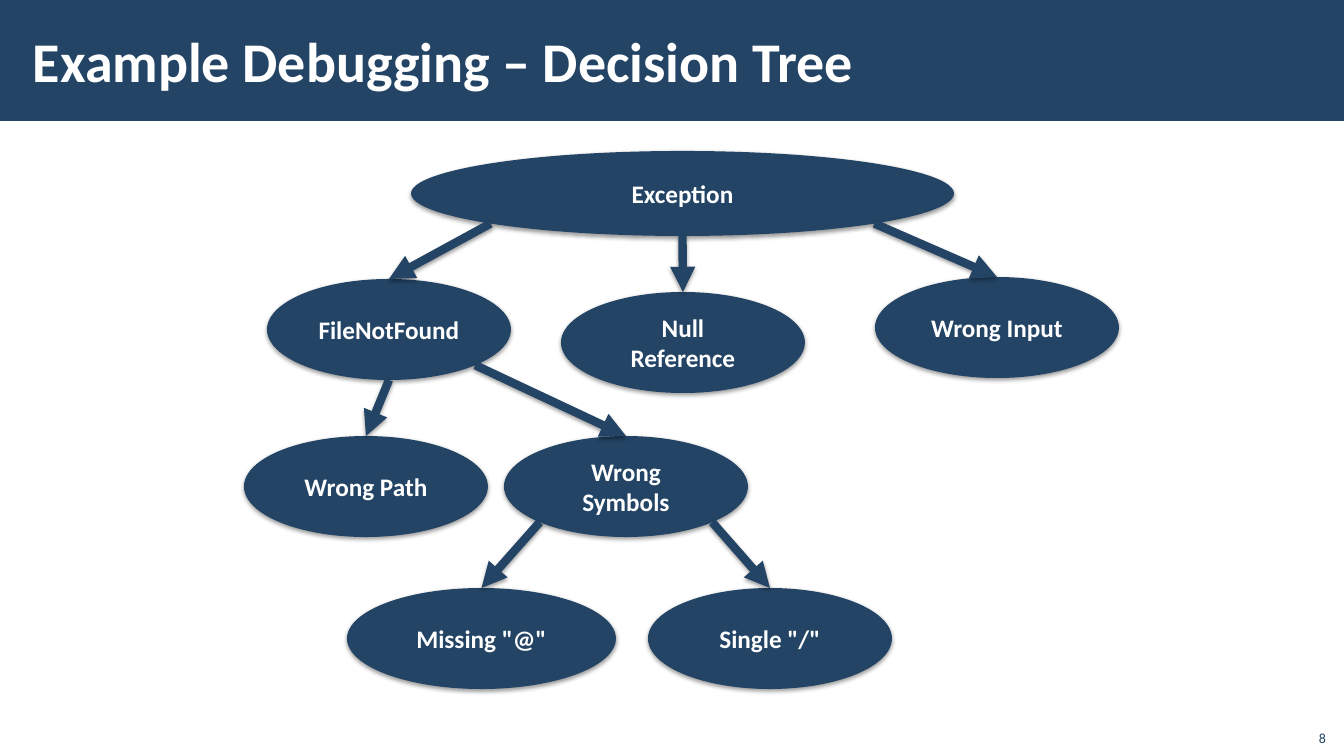
from dataclasses import dataclass
from math import sqrt

from lxml.etree import SubElement
from pptx import Presentation
from pptx.dml.color import RGBColor
from pptx.enum.shapes import MSO_CONNECTOR, MSO_SHAPE
from pptx.enum.text import MSO_ANCHOR, MSO_AUTO_SIZE, PP_ALIGN
from pptx.oxml.ns import qn
from pptx.util import Emu, Pt

EMU_PER_PX = 914400 / 100.8


@dataclass(frozen=True)
class Theme:
    navy: RGBColor = RGBColor(0x23, 0x44, 0x65)
    white: RGBColor = RGBColor(0xFF, 0xFF, 0xFF)
    font: str = "Calibri"
    title_size: int = 40
    node_size: int = 18
    number_size: int = 10
    branch_width: int = 6


THEME = Theme()

NODES = {
    "Exception": (411, 151, 543, 85),
    "FileNotFound": (267, 279, 244, 101),
    "Null Reference": (561, 292, 244, 101),
    "Wrong Input": (875, 277, 244, 101),
    "Wrong Path": (244, 436, 244, 101),
    "Wrong Symbols": (504, 436, 244, 101),
    'Missing "@"': (347, 588, 269, 101),
    'Single "/"': (648, 588, 244, 101),
}

LEFT, MIDDLE, RIGHT = -1, 0, 1
BRANCHES = [
    ("Exception", LEFT, "FileNotFound"),
    ("Exception", MIDDLE, "Null Reference"),
    ("Exception", RIGHT, "Wrong Input"),
    ("FileNotFound", MIDDLE, "Wrong Path"),
    ("FileNotFound", RIGHT, "Wrong Symbols"),
    ("Wrong Symbols", LEFT, 'Missing "@"'),
    ("Wrong Symbols", RIGHT, 'Single "/"'),
]


def px(length):
    return Emu(round(length * EMU_PER_PX))


def set_all(target, values):
    for name, value in values.items():
        setattr(target, name, value)


def write(shape, text, size, color, align, anchor, bold=True, inset=12):
    frame = shape.text_frame
    set_all(frame, {
        "text": text,
        "word_wrap": True,
        "auto_size": MSO_AUTO_SIZE.NONE,
        "vertical_anchor": anchor,
        "margin_left": px(inset),
        "margin_right": px(inset),
        "margin_top": px(4),
        "margin_bottom": px(4),
    })
    paragraph = frame.paragraphs[0]
    paragraph.alignment = align
    font = paragraph.runs[0].font
    set_all(font, {"name": THEME.font, "size": Pt(size), "bold": bold})
    font.color.rgb = color


def add_filled(slide, kind, box):
    shape = slide.shapes.add_shape(kind, *map(px, box))
    shape.shadow.inherit = False
    shape.fill.solid()
    shape.fill.fore_color.rgb = THEME.navy
    shape.line.fill.background()
    return shape


def add_soft_shadow(properties):
    effects = properties.find(qn("a:effectLst"))
    if effects is None:
        effects = SubElement(properties, qn("a:effectLst"))
    shadow = SubElement(effects, qn("a:outerShdw"), blurRad=str(Pt(3.1)),
                        dist=str(Pt(1.6)), dir="5400000", rotWithShape="0")
    black = SubElement(shadow, qn("a:srgbClr"), val="000000")
    SubElement(black, qn("a:alpha"), val="38000")


def add_title(slide, text):
    band = add_filled(slide, MSO_SHAPE.RECTANGLE, (0, 0, 1344, 121))
    slide.shapes._spTree.insert(2, band._element)
    title = slide.shapes.title
    set_all(title, {"left": px(21), "top": px(11), "width": px(1072), "height": px(98)})
    write(title, text, THEME.title_size, THEME.white, PP_ALIGN.LEFT, MSO_ANCHOR.MIDDLE)


def add_node(slide, label, box):
    node = add_filled(slide, MSO_SHAPE.OVAL, box)
    add_soft_shadow(node._element.spPr)
    write(node, label, THEME.node_size, THEME.white, PP_ALIGN.CENTER, MSO_ANCHOR.MIDDLE)


def branch_start(box, side):
    left, top, width, height = box
    drop = 1 / sqrt(2) if side else 1
    return left + width / 2 * (1 + side / sqrt(2)), top + height / 2 * (1 + drop)


def add_branch(slide, parent, side, child):
    left, top, width, _ = NODES[child]
    ends = (*branch_start(NODES[parent], side), left + width / 2, top)
    branch = slide.shapes.add_connector(MSO_CONNECTOR.STRAIGHT, *map(px, ends))
    branch.line.color.rgb = THEME.navy
    branch.line.width = Pt(THEME.branch_width)
    properties = branch._element.spPr
    SubElement(properties.find(qn("a:ln")), qn("a:tailEnd"), type="triangle")
    add_soft_shadow(properties)


def add_slide_number(slide, number):
    box = slide.shapes.add_textbox(*map(px, (1295, 718, 40, 32)))
    write(box, number, THEME.number_size, THEME.navy, PP_ALIGN.RIGHT,
          MSO_ANCHOR.BOTTOM, bold=False, inset=9)


def main():
    deck = Presentation()
    set_all(deck, {"slide_width": px(1344), "slide_height": px(756)})
    slide = deck.slides.add_slide(deck.slide_layouts.get_by_name("Title Only"))
    add_title(slide, "Example Debugging – Decision Tree")
    for label, box in NODES.items():
        add_node(slide, label, box)
    for parent, side, child in BRANCHES:
        add_branch(slide, parent, side, child)
    add_slide_number(slide, "8")
    deck.save("out.pptx")


if __name__ == "__main__":
    main()
